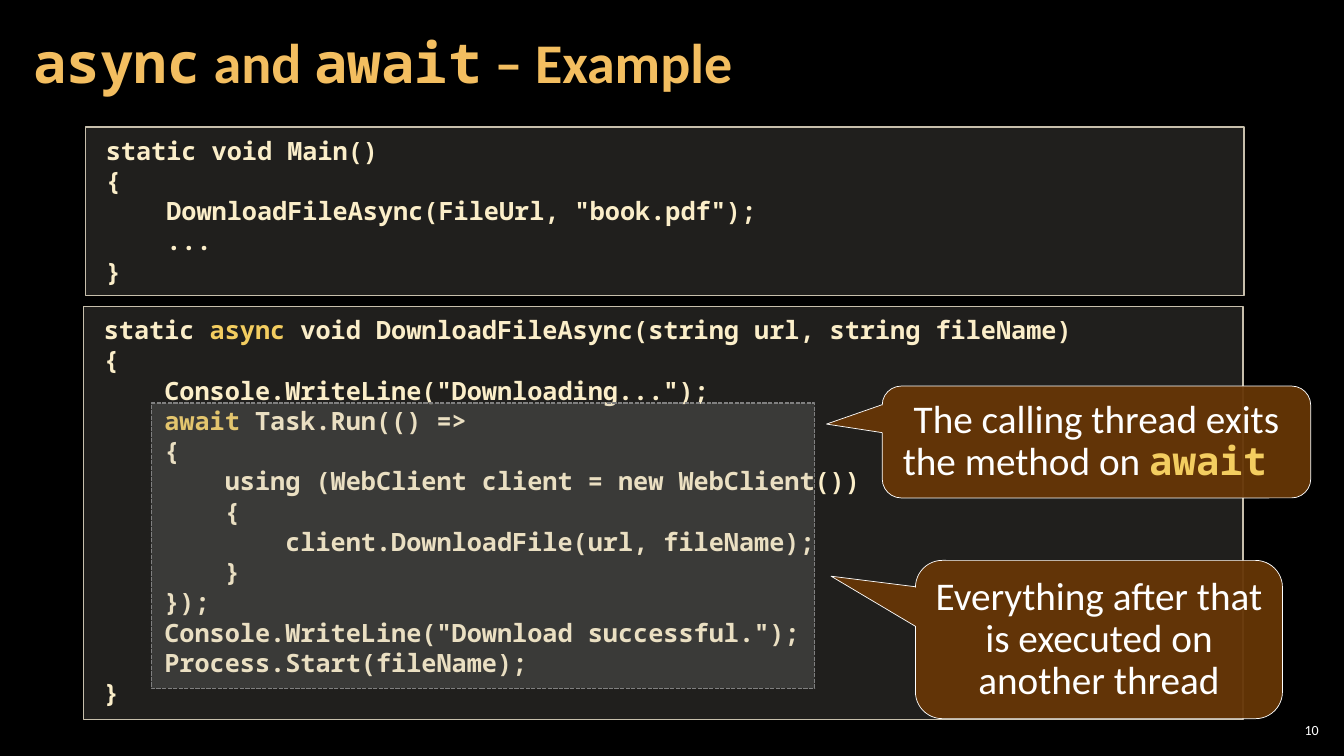
"""Build the slide that explains async and await with a download example."""
from lxml.etree import SubElement
from pptx import Presentation
from pptx.dml.color import RGBColor
from pptx.enum.dml import MSO_LINE as Dash
from pptx.enum.shapes import MSO_SHAPE as Preset
from pptx.enum.text import MSO_ANCHOR as Anchor, PP_ALIGN as Align
from pptx.oxml.ns import qn
from pptx.util import Pt

PX = 9144
MONO, SANS = "Noto Sans Mono", "Calibri"
GOLD, WHITE = "F3BE60", "FFFFFF"
CODE = (18, MONO, "FBEEC9", True)
KEYWORD = (18, MONO, "F3CD60", True)
TITLE_MONO = (40, MONO, GOLD, True)
TITLE_SANS = (40, SANS, GOLD, True)
NOTE = (28, SANS, WHITE, False)
NOTE_KEYWORD = (28, MONO, "F3CD60", True)
NUMBER = (10, SANS, WHITE, False)


def color(value):
    return RGBColor.from_string(value)


def write(frame, margins, anchor, align, spacing, lines):
    frame.word_wrap = True
    frame.vertical_anchor = anchor
    frame.margin_left = frame.margin_right = margins[0] * PX
    frame.margin_top = frame.margin_bottom = margins[1] * PX
    for index, (indent, runs) in enumerate(lines):
        paragraph = frame.add_paragraph() if index else frame.paragraphs[0]
        paragraph.alignment = align
        paragraph.line_spacing = spacing
        if indent:
            properties = paragraph._p.get_or_add_pPr()
            properties.set("marL", str(indent * PX))
            properties.set("indent", "0")
        for text, (size, font, value, bold) in runs:
            run = paragraph.add_run()
            run.text = text
            run.font.size = Pt(size)
            run.font.name = font
            run.font.bold = bold
            run.font.color.rgb = color(value)


main_code = [
    (0, [("static void Main()", CODE)]),
    (0, [("{", CODE)]),
    (1, [('DownloadFileAsync(FileUrl, "book.pdf");', CODE)]),
    (1, [("...", CODE)]),
    (0, [("}", CODE)]),
]
download_code = [
    (0, [("static ", CODE), ("async", KEYWORD),
         (" void DownloadFileAsync(string url, string fileName)", CODE)]),
    (0, [("{", CODE)]),
    (1, [('Console.WriteLine("Downloading...");', CODE)]),
    (1, [("await", KEYWORD), (" Task.Run(() =>", CODE)]),
    (1, [("{", CODE)]),
    (2, [("using (WebClient client = new WebClient())", CODE)]),
    (2, [("{", CODE)]),
    (3, [("client.DownloadFile(url, fileName);", CODE)]),
    (2, [("}", CODE)]),
    (1, [("});", CODE)]),
    (1, [('Console.WriteLine("Download successful.");', CODE)]),
    (1, [("Process.Start(fileName);", CODE)]),
    (0, [("}", CODE)]),
]
exit_note = [("The calling thread exits the method on ", NOTE), ("await ", NOTE_KEYWORD)]
thread_note = [("Everything after that is executed on another thread", NOTE)]
title = [("async", TITLE_MONO), (" and ", TITLE_SANS),
         ("await", TITLE_MONO), (" – Example", TITLE_SANS)]

presentation = Presentation()
presentation.slide_width = 1333 * PX
presentation.slide_height = 750 * PX
slide = presentation.slides.add_slide(presentation.slide_layouts[6])
slide.background.fill.solid()
slide.background.fill.fore_color.rgb = color("000000")

text_boxes = [
    ((1265, 714, 47, 21), (4, 4), Align.RIGHT, 1.0, [("10", NUMBER)]),
    ((21, 4, 1047, 121), (12, 4), Align.LEFT, 0.9, title),
]
for place, margins, align, spacing, runs in text_boxes:
    box = slide.shapes.add_textbox(*(length * PX for length in place))
    write(box.text_frame, margins, Anchor.MIDDLE, align, spacing, [(0, runs)])

code_style = ("D9D5C7", 15, "C7BFAC", 1, Dash.SOLID)
highlight_style = ("A6A6A6", 20, "808080", 1, Dash.SQUARE_DOT)
note_style = ("663606", 95, WHITE, 0.5, Dash.SOLID)
panels = [
    (Preset.RECTANGLE, (85, 126, 1149, 167), (), code_style, main_code),
    (Preset.RECTANGLE, (83, 304, 1150, 410), (), code_style, download_code),
    (Preset.RECTANGLE, (150, 400, 658, 283), (), highlight_style, []),
    (Preset.ROUNDED_RECTANGULAR_CALLOUT, (875, 383, 425, 111),
     (-0.63, -0.16, 0.17), note_style, [(0, exit_note)]),
    (Preset.ROUNDED_RECTANGULAR_CALLOUT, (908, 556, 364, 157),
     (-0.73, -0.4, 0.17), note_style, [(0, thread_note)]),
]
for preset, place, adjustments, style, lines in panels:
    fill, opacity, outline, width, dash = style
    shape = slide.shapes.add_shape(preset, *(length * PX for length in place))
    shape.shadow.inherit = False
    for index, value in enumerate(adjustments):
        shape.adjustments[index] = value
    shape.fill.solid()
    shape.fill.fore_color.rgb = color(fill)
    fill_color = shape._element.spPr.find(qn("a:solidFill")).find(qn("a:srgbClr"))
    SubElement(fill_color, qn("a:alpha")).set("val", str(opacity * 1000))
    shape.line.color.rgb = color(outline)
    shape.line.width = Pt(width)
    shape.line.dash_style = dash
    if style is code_style:
        indented = [(20 + 60 * level, runs) for level, runs in lines]
        write(shape.text_frame, (0, 8), Anchor.TOP, Align.LEFT, Pt(21.6), indented)
    elif lines:
        write(shape.text_frame, (10, 8), Anchor.TOP, Align.CENTER, Pt(30), lines)

presentation.save("out.pptx")
